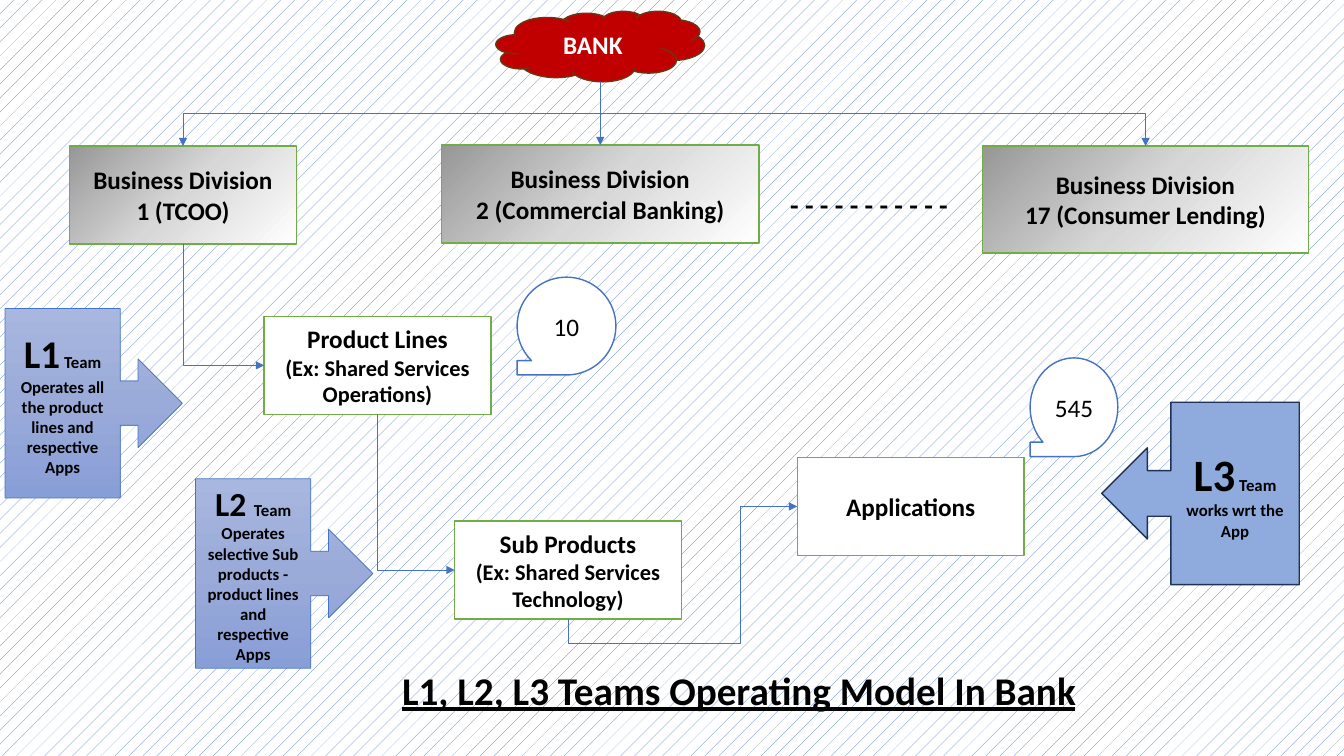
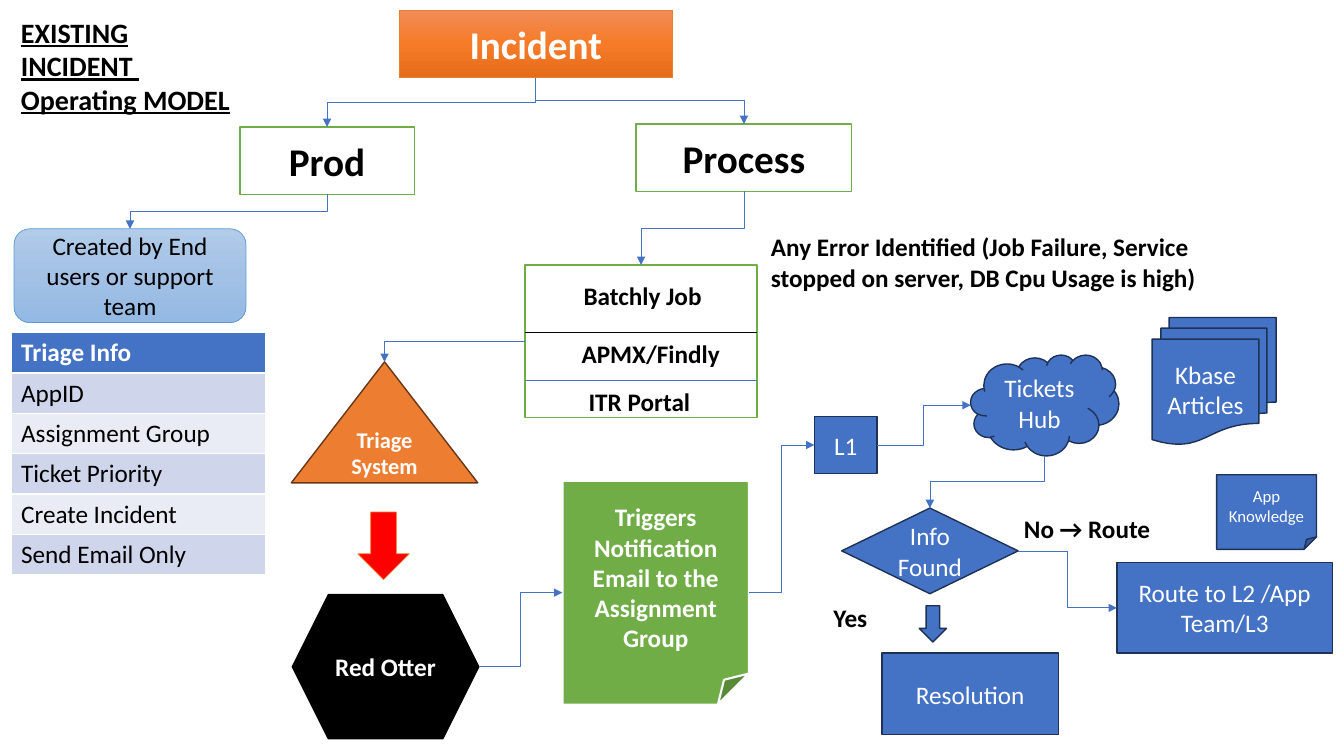
from dataclasses import dataclass

from lxml.etree import SubElement
from pptx import Presentation
from pptx.dml.color import RGBColor
from pptx.enum.dml import MSO_PATTERN
from pptx.enum.shapes import MSO_CONNECTOR as LINK, MSO_SHAPE as KIND
from pptx.enum.text import MSO_ANCHOR, MSO_AUTO_SIZE, PP_ALIGN
from pptx.oxml import parse_xml
from pptx.oxml.ns import nsdecls, qn
from pptx.shapes.connector import Connector
from pptx.util import Inches, Pt


@dataclass(frozen=True)
class Theme:
    font: str = "Calibri"
    black: str = "000000"
    white: str = "FFFFFF"
    blue: str = "4472C4"
    navy: str = "1E3256"
    green: str = "70AD47"
    orange: str = "ED7D31"
    brown: str = "683715"
    crimson: str = "C00000"
    red: str = "FF0000"
    pale_blue: str = "8FAADC"
    sky: str = "5B9BD5"
    bands: tuple = ("E9EBF5", "CFD5EA")
    grey_blend: tuple = ("979797", "D7D7D7", "FFFFFF")
    blue_blend: tuple = ("A8B7DF", "9AABD9", "889ED7")
    sky_blend: tuple = ("B1CBE9", "A3C1E5", "93B9E4")
    orange_blend: tuple = ("F18C57", "F67B28", "E56C19")
    small: int = 12
    medium: int = 16
    body: int = 18
    heading: int = 20
    title: int = 28


theme = Theme()
rgb = RGBColor.from_string
CELL = Inches(0.1)  # one column or row of the slide grid
COLUMNS, ROWS = 133.33, 75
LINEAR = '<a:lin ang="5400000" scaled="0"/>'
FROM_CORNER = '<a:path path="circle"><a:fillToRect r="100000" b="100000"/></a:path>'
SIDES = {"top": (0.5, 0), "left": (0, 0.5), "bottom": (0.5, 1), "right": (1, 0.5)}
SITES = {"top": 0, "left": 1, "bottom": 2, "right": 3}
ROUND_SITES = {"right": 0, "bottom": 1, "left": 2, "top": 3}

# Shared looks
OUTLINED = dict(fill=theme.white, line=(theme.green, 1), bold=True)
DIVISION = dict(OUTLINED, fill=theme.grey_blend, direction=FROM_CORNER)
COUNTER = dict(fill=theme.white, line=(theme.blue, 1), mirrored=True)
TEAM = dict(fill=theme.blue_blend, line=(theme.blue, 0.5), bold=True)
SOLID = dict(fill=theme.blue, line=(theme.navy, 1), color=theme.white)
BOLD_WHITE = dict(color=theme.white, bold=True)
LABEL = dict(bold=True, align=PP_ALIGN.LEFT)


def add_box(slide, kind, at, paragraphs=(), fill=None, line=None, direction=LINEAR,
            size=theme.body, color=theme.black, bold=False, underline=False,
            align=PP_ALIGN.CENTER, mirrored=False):
    """Add a preset shape, or a text box when kind is None.

    A paragraph is a string, or a list of (text, size) runs.
    """
    place = [int(value * CELL) for value in at]
    if kind is None:
        shape = slide.shapes.add_textbox(*place)
        shape.text_frame.auto_size = MSO_AUTO_SIZE.SHAPE_TO_FIT_TEXT
    else:
        shape = slide.shapes.add_shape(kind, *place)
        shape.shadow.inherit = False
        shape.text_frame.vertical_anchor = MSO_ANCHOR.MIDDLE
        shape.line.color.rgb = rgb(line[0])
        shape.line.width = Pt(line[1])
        if isinstance(fill, tuple):
            shape.fill.gradient()
            stops = "".join(
                f'<a:gs pos="{index * 50000}"><a:srgbClr val="{stop}"/></a:gs>'
                for index, stop in enumerate(fill))
            properties = shape.element.spPr
            properties.replace(properties.find(qn("a:gradFill")), parse_xml(
                f'<a:gradFill {nsdecls("a")} rotWithShape="1">'
                f'<a:gsLst>{stops}</a:gsLst>{direction}</a:gradFill>'))
        else:
            shape.fill.solid()
            shape.fill.fore_color.rgb = rgb(fill)
        if mirrored:
            shape.element.spPr.find(qn("a:xfrm")).set("flipH", "1")
    frame = shape.text_frame
    frame.word_wrap = True
    for index, runs in enumerate(paragraphs):
        paragraph = frame.add_paragraph() if index else frame.paragraphs[0]
        paragraph.alignment = align
        for text, points in [(runs, size)] if isinstance(runs, str) else runs:
            run = paragraph.add_run()
            run.text = text
            run.font.name = theme.font
            run.font.size = Pt(points)
            run.font.bold = bold
            run.font.underline = underline
            run.font.color.rgb = rgb(color)
    return shape


def join(slide, start, start_side, end, end_side, preset="bentConnector3", bends=()):
    """Draw an arrow between the middles of two shapes' sides."""
    (x1, y1), (x2, y2) = [
        (shape.left + shape.width * SIDES[side][0], shape.top + shape.height * SIDES[side][1])
        for shape, side in ((start, start_side), (end, end_side))]
    straight = preset == "line"
    connector = slide.shapes.add_connector(
        LINK.STRAIGHT if straight else LINK.ELBOW, int(x1), int(y1), int(x2), int(y2))
    for connect, shape, side in ((connector.begin_connect, start, start_side),
                                 (connector.end_connect, end, end_side)):
        rounded = shape.auto_shape_type in (KIND.CLOUD, KIND.HEXAGON)
        connect(shape, (ROUND_SITES if rounded else SITES)[side])

    # An elbow that leaves vertically is a turned horizontal one
    turned = not straight and start_side in ("top", "bottom")
    width, height = abs(x2 - x1), abs(y2 - y1)
    if turned:
        width, height = height, width
        connector.rotation = 270 if x2 > x1 and y2 > y1 else 90
    connector.left, connector.top = int((x1 + x2 - width) / 2), int((y1 + y2 - height) / 2)
    connector.width, connector.height = int(width), int(height)
    frame = connector.element.spPr.find(qn("a:xfrm"))
    frame.set("flipH", str(int(x2 > x1 if turned else x2 < x1)))
    frame.set("flipV", str(int(y2 < y1)))

    geometry = connector.element.spPr.find(qn("a:prstGeom"))
    geometry.set("prst", preset)
    for number, share in enumerate(bends, 1):
        SubElement(geometry.find(qn("a:avLst")), qn("a:gd"),
                   name=f"adj{number}", fmla=f"val {round(share * 100000)}")
    connector.line.color.rgb = rgb(theme.blue)
    connector.line.width = Pt(0.5)
    SubElement(connector.element.spPr.find(qn("a:ln")), qn("a:tailEnd"), type="triangle")


presentation = Presentation()
presentation.slide_width, presentation.slide_height = int(COLUMNS * CELL), int(ROWS * CELL)
blank = presentation.slide_layouts[6]

# Slide 1: operating model of the teams
slide = presentation.slides.add_slide(blank)
backdrop = slide.background.fill
backdrop.patterned()
backdrop.pattern = MSO_PATTERN.PERCENT_5
backdrop.fore_color.rgb = rgb(theme.blue)
backdrop.back_color.rgb = rgb(theme.white)

# Bank and its divisions
bank = add_box(slide, KIND.CLOUD, (49.2, 1.1, 20.7, 7), ["BANK"],
               fill=theme.crimson, line=(theme.brown, 1), **BOLD_WHITE)
divisions = []
for at, name, preset in (
        ((6.9, 14.5, 22.5, 9.7), "1 (TCOO)", "bentConnector3"),
        ((43.8, 14.4, 31.5, 9.7), "2 (Commercial Banking)", "line"),
        ((97.5, 14.5, 32.3, 10.6), "17 (Consumer Lending)", "bentConnector3")):
    division = add_box(slide, KIND.RECTANGLE, at, ["Business Division", name], **DIVISION)
    join(slide, bank, "bottom", division, "top", preset)
    divisions.append(division)
add_box(slide, None, (77.4, 18.1, 19.3, 4.4), ["- - - - - - - - - - -"],
        size=theme.heading, **LABEL)

# Steps from product lines to applications
product_lines, sub_products, applications = [
    add_box(slide, KIND.RECTANGLE, (left, top, 22.5, 9.7), paragraphs, **OUTLINED)
    for left, top, paragraphs in (
        (26.2, 31.4, ["Product Lines", [("(Ex: Shared Services Operations)", theme.medium)]]),
        (45.1, 51.7, ["Sub Products", [("(Ex: Shared Services Technology)", theme.medium)]]),
        (79.1, 45.4, ["Applications"]))]
join(slide, divisions[0], "bottom", product_lines, "left", "bentConnector2")
join(slide, product_lines, "bottom", sub_products, "left", "bentConnector2")
join(slide, sub_products, "bottom", applications, "left", "bentConnector4", (-0.22, 0.75))

# Counters
for at, count in (((102.2, 35.5, 8.7, 9.8), "545"), ((51.3, 27.5, 9.8, 9.7), "10")):
    add_box(slide, KIND.FLOWCHART_SEQUENTIAL_ACCESS_STORAGE, at, [count], **COUNTER)

# Teams
for kind, at, name, name_size, duty, look in (
        (KIND.RIGHT_ARROW_CALLOUT, (0.5, 30.6, 17.6, 18.8), "L1", 28,
         " Team Operates all the product lines and respective Apps", TEAM),
        (KIND.RIGHT_ARROW_CALLOUT, (19.4, 47.5, 17.6, 18.8), "L2 ", 24,
         "Team Operates selective Sub products - product lines and respective Apps", TEAM),
        (KIND.LEFT_ARROW_CALLOUT, (109.3, 39.9, 19.6, 18.1), "L3", 32,
         " Team works wrt the App",
         dict(TEAM, fill=theme.pale_blue, line=(theme.navy, 1)))):
    add_box(slide, kind, at, [[(name, name_size), (duty, theme.small)]], **look)

add_box(slide, None, (38.9, 65.6, 73.9, 5.7), ["L1, L2, L3 Teams Operating Model In Bank"],
        size=theme.title, underline=True, **LABEL)

# Slide 2: incident flow
slide = presentation.slides.add_slide(blank)
slide.background.fill.solid()
slide.background.fill.fore_color.rgb = rgb(theme.white)
add_box(slide, None, (1.1, 1, 23.3, 11.1), ["EXISTING INCIDENT ", "Operating MODEL"],
        size=theme.heading, underline=True, **LABEL)

# Incident sources
incident = add_box(slide, KIND.RECTANGLE, (39.6, 1, 27.1, 6.7), ["Incident"],
                   fill=theme.orange_blend, line=(theme.orange, 0.5),
                   size=theme.title, **BOLD_WHITE)
prod = add_box(slide, KIND.RECTANGLE, (23.8, 12.6, 17.3, 6.7), ["Prod"],
               size=theme.title, **OUTLINED)
process = add_box(slide, KIND.RECTANGLE, (63.1, 12.3, 21.4, 6.7), ["Process"],
                  size=theme.title, **OUTLINED)
creators = add_box(slide, KIND.ROUNDED_RECTANGLE, (1.4, 22.7, 23, 9.3),
                   ["Created by End users or support team"],
                   fill=theme.sky_blend, line=(theme.sky, 0.5))

# Monitoring tools, split by two rules
tools = add_box(slide, KIND.RECTANGLE, (52.1, 26.3, 23, 15.1), **OUTLINED)
for row, color in ((33, theme.black), (37.7, theme.blue)):
    rule = slide.shapes.add_connector(LINK.STRAIGHT, tools.left, int(row * CELL),
                                      tools.left + tools.width, int(row * CELL))
    rule.line.color.rgb = rgb(color)
    rule.line.width = Pt(0.5)
for left, top, name, align in ((54.5, 27.3, "Batchly Job", PP_ALIGN.CENTER),
                               (55.3, 33.1, "APMX/Findly", PP_ALIGN.CENTER),
                               (57.4, 37.8, "ITR Portal", PP_ALIGN.LEFT)):
    add_box(slide, None, (left, top, 18.5, 4), [name], bold=True, align=align)

# Triage table
triage = ("Triage Info", "AppID", "Assignment Group", "Ticket Priority",
          "Create Incident", "Send Email Only")
table = slide.shapes.add_table(len(triage), 1, int(1.1 * CELL), int(33 * CELL),
                               int(25.3 * CELL), 4 * CELL * len(triage)).table
for index, text in enumerate(triage):
    cell = table.cell(index, 0)
    cell.fill.solid()
    cell.fill.fore_color.rgb = rgb(theme.bands[index % 2] if index else theme.blue)
    run = cell.text_frame.paragraphs[0].add_run()
    run.text = text
    run.font.name = theme.font
    run.font.size = Pt(theme.body)
    run.font.bold = index == 0
    run.font.color.rgb = rgb(theme.black if index else theme.white)

# Triage and notification
triage_system = add_box(slide, KIND.ISOSCELES_TRIANGLE, (28.9, 35.9, 18.5, 12),
                        ["Triage System"], fill=theme.orange, line=(theme.brown, 1),
                        size=theme.medium, **BOLD_WHITE)
add_box(slide, KIND.DOWN_ARROW, (35.5, 50.8, 5.1, 6.7),
        fill=theme.red, line=(theme.orange, 0.5))
correlator = add_box(slide, KIND.HEXAGON, (29, 59, 18.5, 14.3), ["Red Otter"],
                     fill=theme.black, line=(theme.black, 1), **BOLD_WHITE)
notification = add_box(slide, KIND.FOLDED_CORNER, (55.8, 47.7, 18.5, 22.2),
                       ["Triggers Notification Email to the Assignment Group"],
                       fill=theme.green, line=(theme.white, 1.5), **BOLD_WHITE)

# Support desk
level_one, ticket_desk, decision, route = [
    add_box(slide, kind, at, [text], **SOLID) for kind, at, text in (
        (KIND.RECTANGLE, (80.8, 41.3, 6.2, 5.7), "L1"),
        (KIND.CLOUD, (96.3, 35.2, 14.7, 10), "Tickets Hub"),
        (KIND.DIAMOND, (83.5, 50.4, 17.5, 8.5), "Info Found"),
        (KIND.RECTANGLE, (110.8, 55.8, 21.4, 9), "Route to L2 /App Team/L3"))]
add_box(slide, KIND.FLOWCHART_MULTIDOCUMENT, (114.3, 31.5, 12.3, 12.6),
        ["Kbase Articles"], **SOLID)
add_box(slide, KIND.FOLDED_CORNER, (120.7, 47.1, 9.9, 7.4), ["App Knowledge"],
        size=theme.small, **SOLID)
add_box(slide, KIND.DOWN_ARROW, (91.2, 60.1, 2.7, 3.6), **SOLID)
add_box(slide, KIND.RECTANGLE, (87.5, 64.8, 17.5, 8.1), ["Resolution"], **SOLID)

# Labels
for at, text in (
        ((75.5, 22.5, 49.7, 7.1),
         "Any Error Identified (Job Failure, Service stopped on server, DB Cpu Usage is high)"),
        ((100.6, 50.4, 14.7, 4), "No → Route"),
        ((81.7, 59.3, 6.2, 4), "Yes")):
    add_box(slide, None, at, [text], **LABEL)

# Flow arrows
for start, start_side, end, end_side in (
        (incident, "bottom", prod, "top"),
        (incident, "bottom", process, "top"),
        (prod, "bottom", creators, "top"),
        (process, "bottom", tools, "top"),
        (correlator, "right", notification, "left"),
        (notification, "right", level_one, "left"),
        (level_one, "right", ticket_desk, "left"),
        (ticket_desk, "bottom", decision, "top"),
        (decision, "right", route, "left")):
    join(slide, start, start_side, end, end_side)
join(slide, tools, "left", triage_system, "top", "bentConnector2")

# Connectors carry no shadow
for slide in presentation.slides:
    for shape in slide.shapes:
        if isinstance(shape, Connector):
            SubElement(shape.element.spPr, qn("a:effectLst"))

presentation.save("out.pptx")
